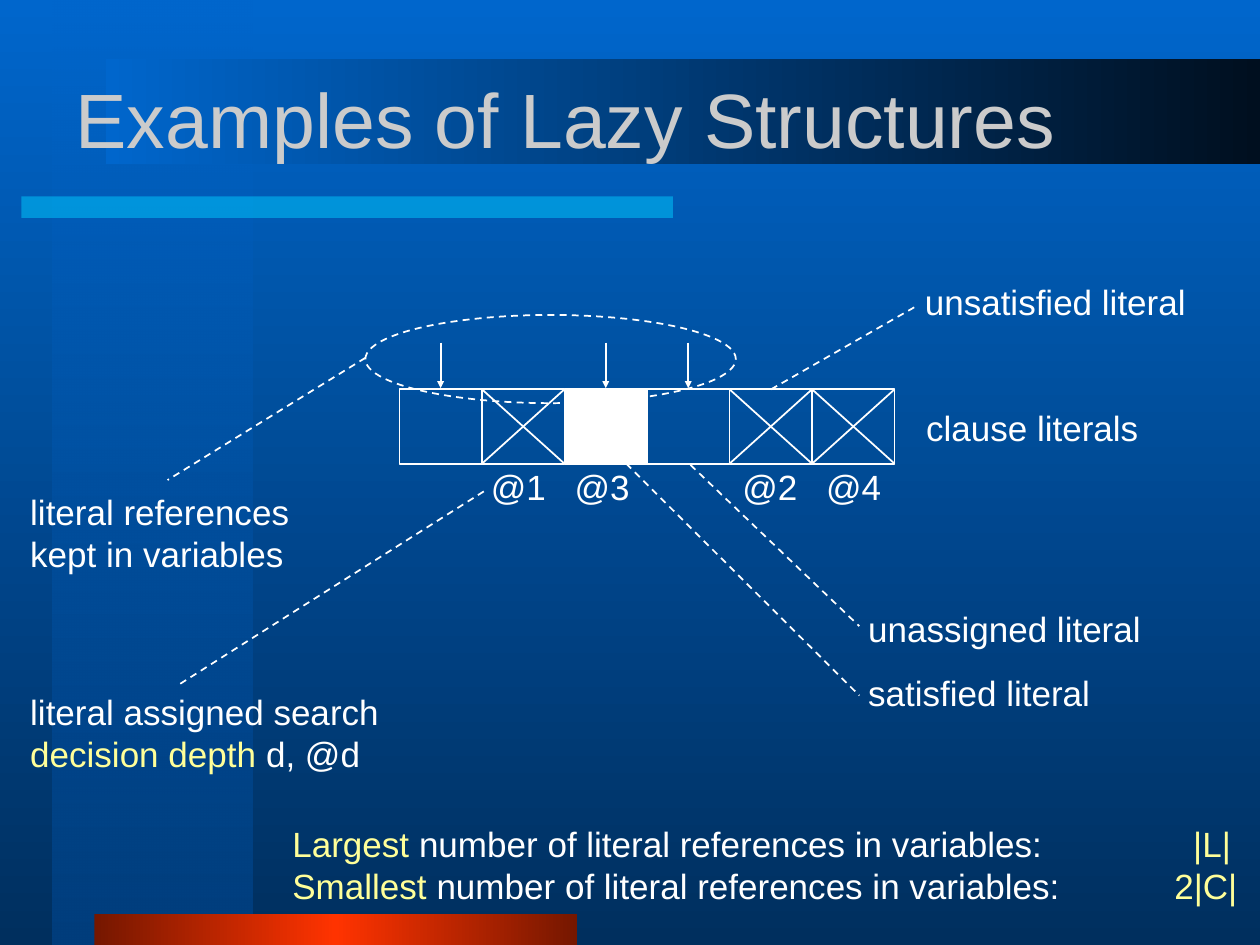
from copy import deepcopy
from dataclasses import dataclass
from typing import NamedTuple, Optional

from pptx import Presentation
from pptx.dml.color import RGBColor
from pptx.enum.dml import MSO_LINE
from pptx.enum.shapes import MSO_CONNECTOR, MSO_SHAPE
from pptx.enum.text import MSO_ANCHOR, MSO_AUTO_SIZE, PP_ALIGN
from pptx.oxml.ns import qn
from pptx.util import Inches, Pt
from lxml.etree import SubElement


@dataclass(frozen=True)
class Theme:
    font: str = "Arial"
    title_size: int = 44
    text_size: int = 20
    line_width: float = 1
    title: str = "CBCBCB"
    text: str = "FFFFFF"
    accent: str = "FFFF99"
    blue: str = "0066CC"
    background_end: str = "002F5E"
    stripe_end: str = "003E7D"
    underline: str = "00CCFF"
    red: str = "FF3300"
    dark_red: str = "751700"
    black: str = "000F1F"


class Box(NamedTuple):
    left: float
    top: float
    width: float
    height: float


class Stop(NamedTuple):
    position: float
    color: str
    opacity: int = 100


class Label(NamedTuple):
    box: Box
    lines: list


class Literal(NamedTuple):
    depth: str = ""
    crossed: bool = False
    filled: bool = False
    referenced: bool = False


THEME = Theme()
CELL_LEFT, CELL_TOP, CELL_PITCH, CELL_HEIGHT = 3.17, 3.09, 0.655, 0.59

LITERALS = [
    Literal(referenced=True),
    Literal("@1", crossed=True),
    Literal("@3", filled=True, referenced=True),
    Literal(referenced=True),
    Literal("@2", crossed=True),
    Literal("@4", crossed=True),
]

# Each line of a label is a list of (text, color) runs.
LABELS = [
    Label(Box(0.24, 5.48, 2.9, 0.67),
          [[("literal assigned search", THEME.text)],
           [("decision depth", THEME.accent), (" d, @d", THEME.text)]]),
    Label(Box(0.24, 3.89, 2.2, 0.67),
          [[("literal references", THEME.text)], [("kept in variables", THEME.text)]]),
    Label(Box(7.34, 2.23, 2.2, 0.33), [[("unsatisfied literal", THEME.text)]]),
    Label(Box(7.35, 3.23, 1.8, 0.33), [[("clause literals", THEME.text)]]),
    Label(Box(6.89, 4.82, 2.3, 0.33), [[("unassigned literal", THEME.text)]]),
    Label(Box(6.89, 5.33, 1.9, 0.33), [[("satisfied literal", THEME.text)]]),
]

LEADERS = [
    ((6.12, 3.09), (7.29, 2.42)),
    ((4.97, 3.68), (6.82, 5.52)),
    ((5.48, 3.69), (6.82, 4.97)),
    ((2.9, 2.84), (1.33, 3.81)),
    ((3.84, 3.9), (1.41, 5.44)),
]

# Bound name, value and the tab stop that places the value.
BOUNDS = [("Largest", "|L|", 7.15), ("Smallest", "2|C|", 7.0)]


def rgb(color: str) -> RGBColor:
    return RGBColor.from_string(color)


def set_opacity(color_element, percent: int) -> None:
    if percent < 100:
        SubElement(color_element, qn("a:alpha")).set("val", str(percent * 1000))


def apply_gradient(fill, stops: list, angle: float) -> None:
    """Fill with the stops; the angle runs counter-clockwise."""
    fill.gradient()
    fill.gradient_angle = angle
    first = fill.gradient_stops[0]._gs
    for _ in stops[2:]:
        first.addnext(deepcopy(first))
    for target, stop in zip(fill.gradient_stops, stops):
        target.position = stop.position
        target.color.rgb = rgb(stop.color)
        set_opacity(target._gs[0], stop.opacity)


def add_shape(slide, kind, box: Box, *, fill: Optional[str] = None, opacity: int = 100,
              line: Optional[str] = None, dashed: bool = False):
    shape = slide.shapes.add_shape(kind, *map(Inches, box))
    shape.shadow.inherit = False
    if fill:
        shape.fill.solid()
        shape.fill.fore_color.rgb = rgb(fill)
        set_opacity(shape._element.spPr.find(qn("a:solidFill"))[0], opacity)
    else:
        shape.fill.background()
    if line:
        format_line(shape.line, line, dashed)
    else:
        shape.line.fill.background()
    return shape


def format_line(line, color: str, dashed: bool) -> None:
    line.color.rgb = rgb(color)
    line.width = Pt(THEME.line_width)
    if dashed:
        line.dash_style = MSO_LINE.DASH


def add_line(slide, start: tuple, end: tuple, *, dashed: bool = False, arrow: bool = False) -> None:
    connector = slide.shapes.add_connector(MSO_CONNECTOR.STRAIGHT, *map(Inches, start + end))
    format_line(connector.line, THEME.text, dashed)
    if arrow:
        head = SubElement(connector.line._get_or_add_ln(), qn("a:tailEnd"))
        for name, value in (("type", "triangle"), ("w", "sm"), ("len", "sm")):
            head.set(name, value)
    SubElement(connector._element.spPr, qn("a:effectLst"))


def add_run(paragraph, text: str, *, color: str, size: float) -> None:
    run = paragraph.add_run()
    run.text = text
    run.font.name = THEME.font
    run.font.size = Pt(size)
    run.font.color.rgb = rgb(color)


def add_text(slide, box: Box, lines: list, *, align=PP_ALIGN.LEFT, tabs: tuple = ()) -> None:
    """Add a text box; tabs holds one tab stop for each line."""
    frame = slide.shapes.add_textbox(*map(Inches, box)).text_frame
    frame.margin_left = frame.margin_right = frame.margin_top = frame.margin_bottom = 0
    frame.word_wrap = True
    frame.auto_size = MSO_AUTO_SIZE.SHAPE_TO_FIT_TEXT
    frame.vertical_anchor = MSO_ANCHOR.MIDDLE
    for index, runs in enumerate(lines):
        paragraph = frame.add_paragraph() if index else frame.paragraphs[0]
        paragraph.alignment = align
        if tabs:
            tab_list = SubElement(paragraph._p.get_or_add_pPr(), qn("a:tabLst"))
            tab = SubElement(tab_list, qn("a:tab"))
            tab.set("pos", str(Inches(tabs[index])))
            tab.set("algn", "l")
        for text, color in runs:
            add_run(paragraph, text, color=color, size=THEME.text_size)


def draw_backdrop(slide) -> None:
    apply_gradient(slide.background.fill,
                   [Stop(0, THEME.blue), Stop(1, THEME.background_end)], 270)
    stripe = add_shape(slide, MSO_SHAPE.RECTANGLE, Box(0.42, 0, 1.58, 7.5))
    apply_gradient(stripe.fill, [Stop(0, THEME.blue, 50), Stop(1, THEME.stripe_end)], 270)
    add_shape(slide, MSO_SHAPE.RECTANGLE, Box(0.17, 1.56, 5.17, 0.17),
              fill=THEME.underline, opacity=50)
    footer = add_shape(slide, MSO_SHAPE.RECTANGLE, Box(0.75, 7.25, 3.83, 0.25))
    apply_gradient(footer.fill, [Stop(0, THEME.dark_red), Stop(0.5, THEME.red),
                                 Stop(1, THEME.dark_red)], 180)
    band = add_shape(slide, MSO_SHAPE.RECTANGLE, Box(0.84, 0.47, 9.16, 0.83))
    apply_gradient(band.fill, [Stop(0, THEME.black), Stop(1, THEME.blue)], 180)


def draw_title(slide, text: str) -> None:
    title = slide.shapes.title
    slide.shapes._spTree.append(title._element)  # in front of the band
    title.left, title.top, title.width, title.height = map(Inches, Box(0.5, 0.31, 8.75, 1.25))
    title.text_frame.vertical_anchor = MSO_ANCHOR.MIDDLE
    paragraph = title.text_frame.paragraphs[0]
    paragraph.alignment = PP_ALIGN.LEFT
    add_run(paragraph, text, color=THEME.title, size=THEME.title_size)


def draw_literal(slide, index: int, literal: Literal) -> None:
    left = CELL_LEFT + index * CELL_PITCH
    right, bottom = left + CELL_PITCH, CELL_TOP + CELL_HEIGHT
    add_shape(slide, MSO_SHAPE.RECTANGLE, Box(left, CELL_TOP, CELL_PITCH, CELL_HEIGHT),
              fill=THEME.text if literal.filled else None, line=THEME.text)
    if literal.crossed:
        add_line(slide, (left, CELL_TOP), (right, bottom))
        add_line(slide, (left, bottom), (right, CELL_TOP))
    if literal.referenced:
        center = (left + right) / 2
        add_line(slide, (center, 2.72), (center, 3.08), arrow=True)
    if literal.depth:
        add_text(slide, Box(3.2 + 0.665 * index, 3.7, 0.5, 0.33),
                 [[(literal.depth, THEME.text)]], align=PP_ALIGN.CENTER)


def main() -> None:
    presentation = Presentation()
    presentation.slide_width, presentation.slide_height = Inches(10), Inches(7.5)
    slide = presentation.slides.add_slide(presentation.slide_layouts[5])
    draw_backdrop(slide)
    draw_title(slide, "Examples of Lazy Structures")
    for index, literal in enumerate(LITERALS):
        draw_literal(slide, index, literal)
    add_shape(slide, MSO_SHAPE.OVAL, Box(2.9, 2.5, 2.94, 0.7), line=THEME.text, dashed=True)
    for start, end in LEADERS:
        add_line(slide, start, end, dashed=True)
    for label in LABELS:
        add_text(slide, label.box, label.lines)
    add_text(slide, Box(2.32, 6.53, 7.65, 0.67),
             [[(name, THEME.accent), (" number of literal references in variables:\t", THEME.text),
               (value, THEME.accent)] for name, value, _ in BOUNDS],
             tabs=tuple(tab for _, _, tab in BOUNDS))
    presentation.save("out.pptx")


if __name__ == "__main__":
    main()
